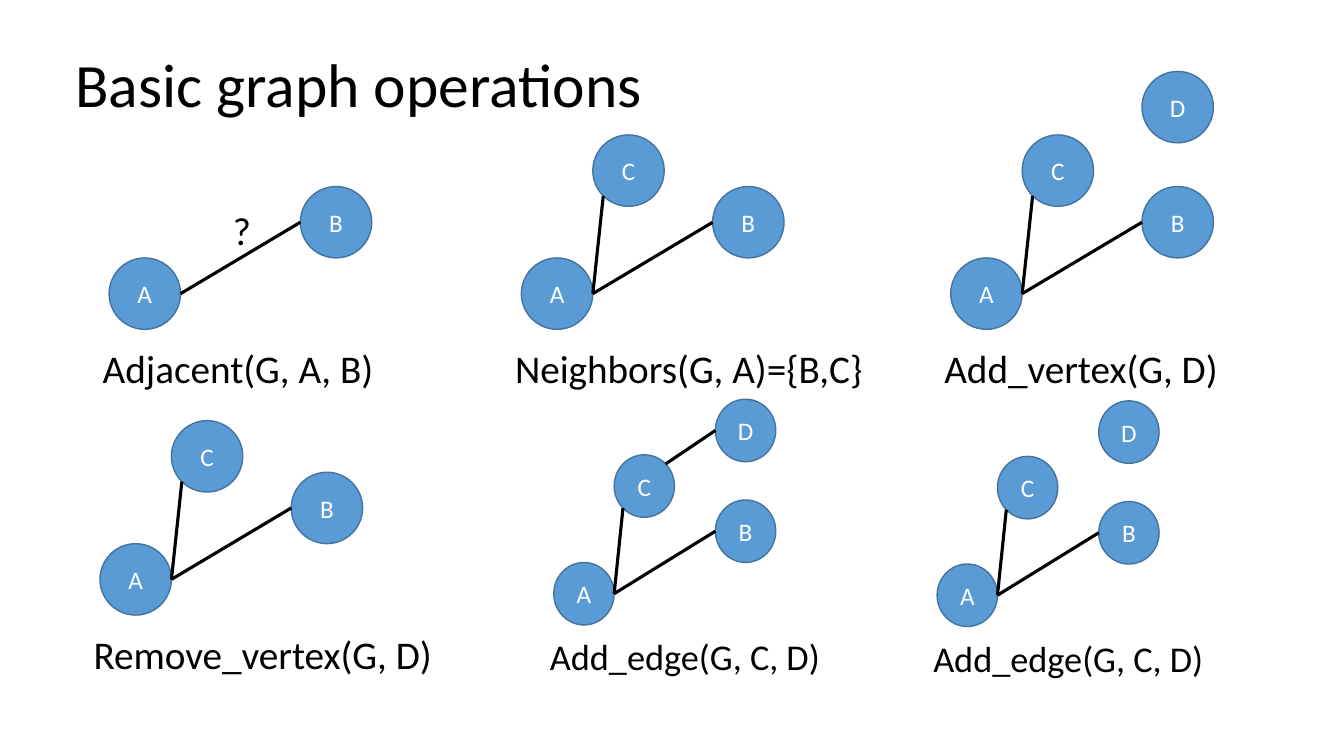
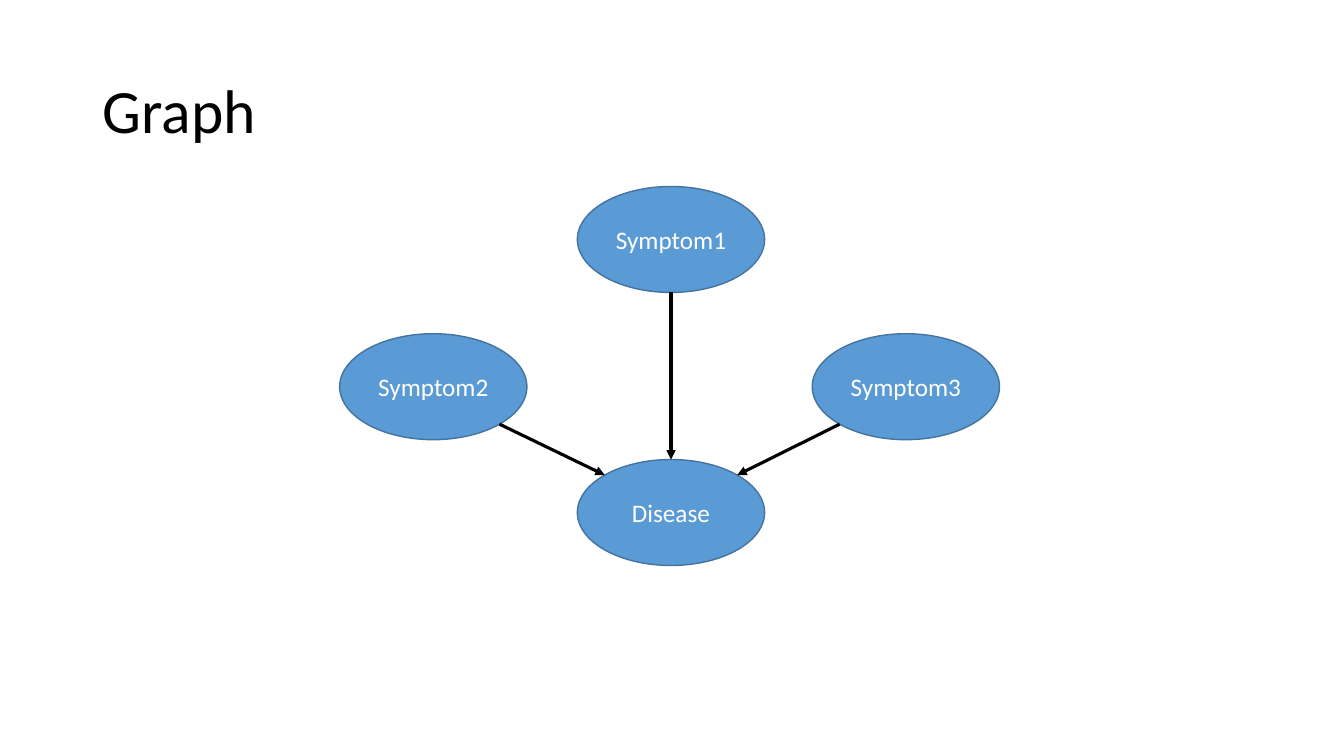
from dataclasses import dataclass
from math import cos, radians, sin

from lxml import etree
from pptx import Presentation
from pptx import util as u
from pptx.dml.color import RGBColor
from pptx.enum import shapes, text
from pptx.oxml.ns import qn


@dataclass(frozen=True)
class Theme:
    """Colours, font and sizes shared by the slides."""
    ink: RGBColor = RGBColor(0x00, 0x00, 0x00)
    paper: RGBColor = RGBColor(0xFF, 0xFF, 0xFF)
    node: RGBColor = RGBColor(0x5B, 0x9B, 0xD5)
    rim: RGBColor = RGBColor(0x43, 0x73, 0x9E)
    font: str = "Calibri"
    title: float = 44
    caption: float = 28
    caption_small: float = 25.9
    label: float = 18
    rim_width: float = 1
    edge_width: float = 2.25


THEME = Theme()
TOP, TOP_LEFT, LEFT, BOTTOM_LEFT, BOTTOM, BOTTOM_RIGHT, RIGHT, TOP_RIGHT = range(8)

VERTEX_SIZE = 1.8
VERTICES = {"A": (0.41, 4.7), "B": (5.23, 2.9), "C": (2.21, 1.6), "D": (5.23, 0)}
EDGES = {"AB": (RIGHT, LEFT), "CA": (BOTTOM_LEFT, RIGHT), "CD": (TOP_RIGHT, LEFT)}
CAPTION_TOP = 6.88
FULL, SMALL = (1, 1), (0.845, 0.875)

OPERATIONS = [
    ("Adjacent(G, A, B)", (2.34, 1.8), 7.47, "AB", ["AB"], FULL),
    ("Neighbors(G, A)={B,C}", (12.73, 1.8), 10.62, "ABC", ["AB", "CA"], FULL),
    ("Add_vertex(G, D)", (23.55, 1.8), 7.7, "ABCD", ["AB", "CA"], FULL),
    ("Remove_vertex(G, D)", (2.11, 9), 9.22, "ABC", ["AB", "CA"], FULL),
    ("Add_edge(G, C, D)", (23.27, 10.1), 7.34, "ABCD", ["AB", "CA"], SMALL),
    ("Add_edge(G, C, D)", (13.61, 10.06), 7.34, "ABCD", ["AB", "CA", "CD"], SMALL),
]

OVAL_SIZE = (4.72, 2.67)
OVALS = {"Symptom3": (11.91, 3.71), "Symptom1": (5.99, 0),
         "Symptom2": (0, 3.71), "Disease": (5.99, 6.88)}
CAUSES = {"Symptom2": (BOTTOM_RIGHT, TOP_LEFT), "Symptom1": (BOTTOM, TOP),
          "Symptom3": (BOTTOM_LEFT, TOP_RIGHT)}


def set_font(paragraph, size, colour):
    """Give a paragraph the theme font in one size and colour."""
    paragraph.font.name = THEME.font
    paragraph.font.size = u.Pt(size)
    paragraph.font.color.rgb = colour


def add_titled_slide(deck, title, left, top):
    """Add a slide with its title placeholder at the given corner."""
    slide = deck.slides.add_slide(deck.slide_layouts[5])
    heading = slide.shapes.title
    heading.left, heading.top = u.Cm(left), u.Cm(top)
    heading.width, heading.height = u.Cm(29.21), u.Cm(3.68)
    heading.text_frame.text = title
    heading.text_frame.vertical_anchor = text.MSO_ANCHOR.MIDDLE
    line = heading.text_frame.paragraphs[0]
    line.alignment = text.PP_ALIGN.LEFT
    line.line_spacing = 0.9
    set_font(line, THEME.title, THEME.ink)
    return slide


def add_node(parent, name, left, top, width, height):
    """Add a labelled ellipse."""
    node = parent.add_shape(shapes.MSO_SHAPE.OVAL, u.Cm(left), u.Cm(top),
                            u.Cm(width), u.Cm(height))
    node.shadow.inherit = False
    node.fill.solid()
    node.fill.fore_color.rgb = THEME.node
    node.line.color.rgb = THEME.rim
    node.line.width = u.Pt(THEME.rim_width)
    node.text_frame.text = name
    node.text_frame.vertical_anchor = text.MSO_ANCHOR.MIDDLE
    label = node.text_frame.paragraphs[0]
    label.alignment = text.PP_ALIGN.CENTER
    set_font(label, THEME.label, THEME.paper)
    return node


def rim_point(node, site):
    """Return the point of an ellipse's connection site, counted from the top leftwards."""
    angle = radians(45 * site)
    return (round(node.left + node.width / 2 * (1 - sin(angle))),
            round(node.top + node.height / 2 * (1 - cos(angle))))


def add_edge(parent, start, start_site, end, end_site, arrow=False):
    """Join two ellipses at their connection sites."""
    edge = parent.add_connector(shapes.MSO_CONNECTOR.STRAIGHT,
                                *rim_point(start, start_site), *rim_point(end, end_site))
    edge.line.color.rgb = THEME.ink
    edge.line.width = u.Pt(THEME.edge_width)
    element = edge.element
    if arrow:
        etree.SubElement(element.spPr.find(qn("a:ln")), qn("a:tailEnd"), type="triangle")
    etree.SubElement(element.spPr, qn("a:effectLst"))
    joints = element.find(".//" + qn("p:cNvCxnSpPr"))
    for tag, node, site in (("a:stCxn", start, start_site), ("a:endCxn", end, end_site)):
        etree.SubElement(joints, qn(tag), id=str(node.shape_id), idx=str(site))


def add_caption(parent, words, left, top, width, size=THEME.caption, spacing=0.9):
    """Add a line of text under or beside a graph."""
    box = parent.add_textbox(u.Cm(left), u.Cm(top), u.Cm(width), u.Cm(1.42))
    box.text_frame.word_wrap = True
    box.text_frame.text = words
    line = box.text_frame.paragraphs[0]
    line.line_spacing = spacing
    line.space_before = u.Pt(10)
    set_font(line, size, THEME.ink)


def add_operation(slide, caption, corner, width, vertices, edges, scale):
    """Draw one captioned graph from the corner of its box."""
    left, top = corner
    across, down = scale
    panel = slide.shapes.add_group_shape().shapes
    size, spacing = (THEME.caption, 0.9) if scale == FULL else (THEME.caption_small, 0.8)
    add_caption(panel, caption, left, top + CAPTION_TOP * down, width, size, spacing)
    nodes = {}
    for name in vertices:
        x, y = VERTICES[name]
        nodes[name] = add_node(panel, name, left + x * across, top + y * down,
                               VERTEX_SIZE * across, VERTEX_SIZE * down)
    for start, end in edges:
        start_site, end_site = EDGES[start + end]
        add_edge(panel, nodes[start], start_site, nodes[end], end_site)
    return panel


def build_operations(deck):
    """Build the slide of basic graph operations."""
    slide = add_titled_slide(deck, "Basic graph operations", 1.65, 0.36)
    panels = [add_operation(slide, *operation) for operation in OPERATIONS]
    left, top = OPERATIONS[0][1]
    add_caption(panels[0], "?", left + 3.28, top + 3.4, 0.9)


def add_cause_graph(slide, left, top):
    """Draw the symptoms pointing to the disease."""
    nodes = {name: add_node(slide.shapes, name, left + x, top + y, *OVAL_SIZE)
             for name, (x, y) in OVALS.items()}
    for symptom, (start_site, end_site) in CAUSES.items():
        add_edge(slide.shapes, nodes[symptom], start_site, nodes["Disease"], end_site,
                 arrow=True)


def build_graph(deck):
    """Build the slide of the symptom graph."""
    slide = add_titled_slide(deck, "Graph", 2.33, 1.01)
    add_cause_graph(slide, 8.56, 4.7)


def main():
    """Build and save the deck."""
    deck = Presentation()
    deck.slide_width, deck.slide_height = u.Cm(33.87), u.Cm(19.05)
    build_operations(deck)
    build_graph(deck)
    deck.save("out.pptx")


if __name__ == "__main__":
    main()
